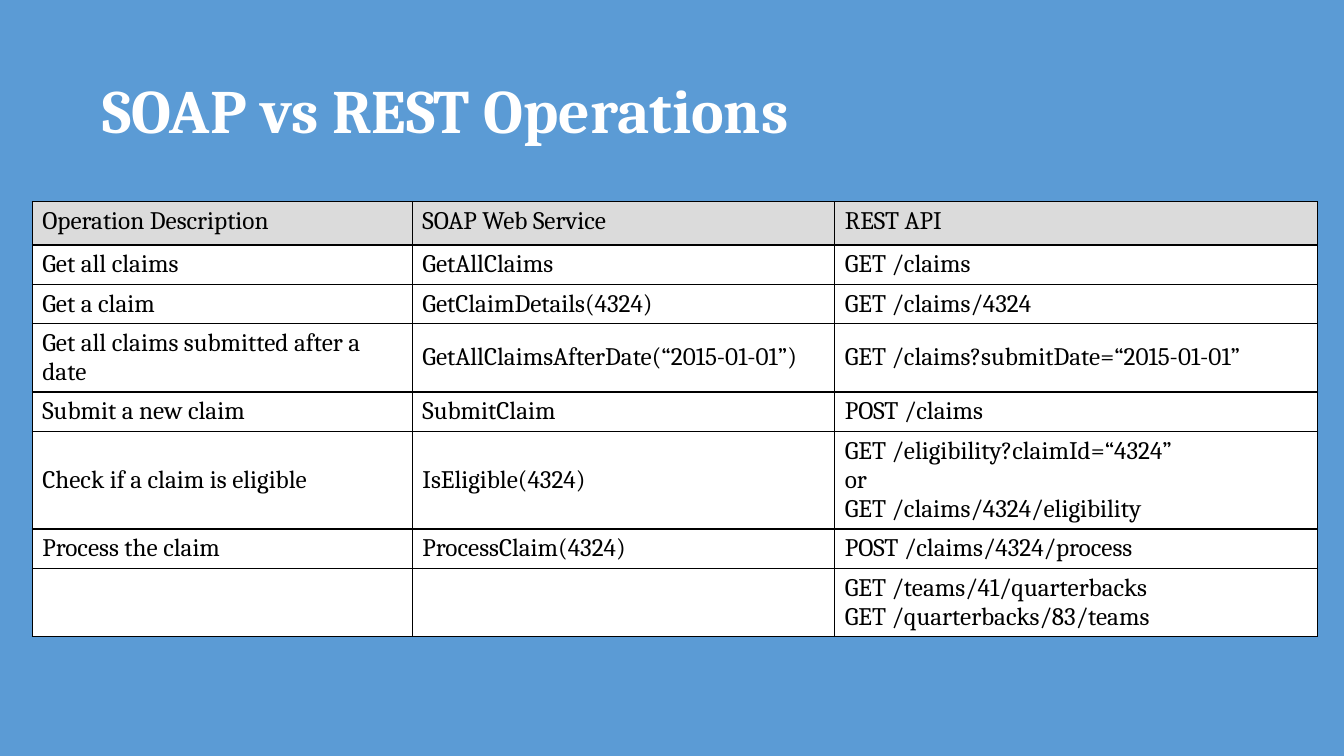
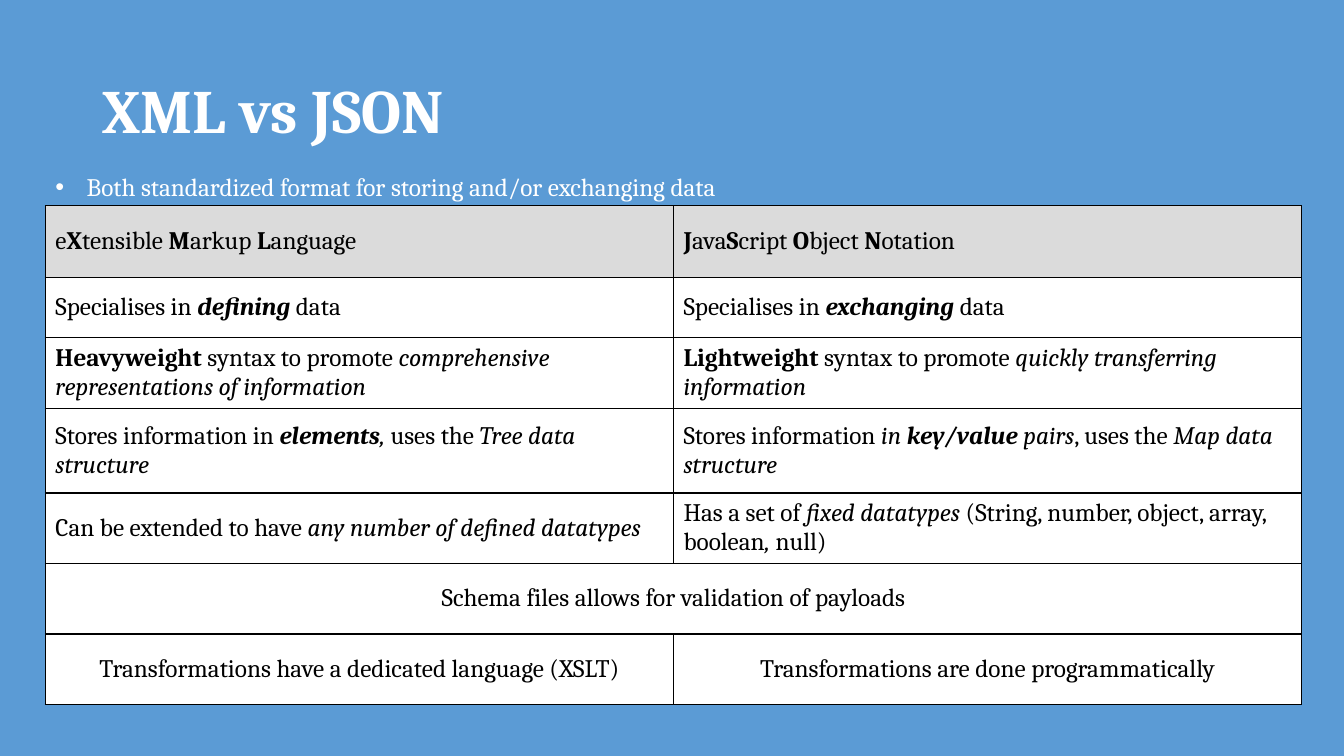
import dataclasses

import pptx
import pptx.dml.color
import pptx.enum.text
import pptx.oxml.ns
import pptx.util
from lxml import etree

Inches = pptx.util.Inches
Pt = pptx.util.Pt
Align = pptx.enum.text.PP_ALIGN
Anchor = pptx.enum.text.MSO_ANCHOR
Fit = pptx.enum.text.MSO_AUTO_SIZE
qn = pptx.oxml.ns.qn


@dataclasses.dataclass(frozen=True)
class Theme:
    """Colours, font and type sizes of the deck."""
    back: str = "5B9BD5"
    light: str = "FFFFFF"
    dark: str = "000000"
    head: str = "DBDBDB"
    font: str = "Cambria"
    title: int = 44
    body: int = 18
    rule: int = 1


def paint(fill, tone):
    """Give a fill one solid colour."""
    fill.solid()
    fill.fore_color.rgb = pptx.dml.color.RGBColor.from_string(tone)


class Deck:
    """Holds the style and the current slide."""

    def __init__(self, theme):
        """Open a wide deck with the shared background."""
        self.theme = theme
        self.prs = pptx.Presentation()
        self.prs.slide_width = Inches(13.33)
        self.prs.slide_height = Inches(7.5)
        paint(self.prs.slide_master.background.fill, theme.back)
        self.slide = None

    def put(self, para, text, size, tone, style=""):
        """Add one run, where style may hold b and i."""
        run = para.add_run()
        run.text = text
        run.font.name = self.theme.font
        run.font.size = Pt(size)
        run.font.bold = "b" in style
        run.font.italic = "i" in style
        paint(run.font.fill, tone)

    def place(self, shape, left, top, width, height):
        """Move and size a placeholder."""
        shape.left, shape.top = Inches(left), Inches(top)
        shape.width, shape.height = Inches(width), Inches(height)

    def start(self, title, layout):
        """Begin a slide with its title."""
        self.slide = self.prs.slides.add_slide(
            self.prs.slide_layouts.get_by_name(layout))
        shape = self.slide.shapes.title
        self.place(shape, 0.92, 0.4, 11.5, 1.45)
        frame = shape.text_frame
        frame.vertical_anchor = Anchor.MIDDLE
        frame.auto_size = Fit.NONE
        para = frame.paragraphs[0]
        para.alignment = Align.LEFT
        para.line_spacing = 0.9
        self.put(para, title, self.theme.title, self.theme.light, "b")

    def points(self, items, box):
        """Fill the body placeholder with bullets."""
        shape = self.slide.placeholders[1]
        self.place(shape, *box)
        frame = shape.text_frame
        frame.auto_size = Fit.SHAPE_TO_FIT_TEXT
        for i, item in enumerate(items):
            para = frame.add_paragraph() if i else frame.paragraphs[0]
            para.space_before = Pt(0)
            props = para._p.get_or_add_pPr()
            props.set("marL", str(Inches(0.31)))
            props.set("indent", str(-Inches(0.31)))
            etree.SubElement(props, qn("a:buChar"), char="•")
            self.put(para, item, self.theme.body, self.theme.light)

    def edge(self, cell):
        """Draw the four borders of a cell."""
        props = cell._tc.get_or_add_tcPr()
        for side in "LRTB":
            line = etree.SubElement(props, qn(f"a:ln{side}"),
                                    w=str(Pt(self.theme.rule)))
            fill = etree.SubElement(line, qn("a:solidFill"))
            etree.SubElement(fill, qn("a:srgbClr"), val=self.theme.dark)

    def cell(self, cell, lines, tone, anchor, align):
        """Style a cell and add its lines of runs."""
        self.edge(cell)
        paint(cell.fill, tone)
        cell.vertical_anchor = anchor
        frame = cell.text_frame
        for i, runs in enumerate(lines):
            para = frame.add_paragraph() if i else frame.paragraphs[0]
            para.alignment = align
            for text, style in runs:
                self.put(para, text, self.theme.body, self.theme.dark, style)

    def table(self, left, top, cols, highs, rows, first=Anchor.MIDDLE, mid=()):
        """Add a table, where None joins a cell to its left one."""
        grid = self.slide.shapes.add_table(
            len(rows), len(cols), Inches(left), Inches(top),
            Inches(sum(cols)), Inches(sum(highs))).table
        grid.first_row = grid.horz_banding = False
        for col, width in zip(grid.columns, cols):
            col.width = Inches(width)
        for r, (row, high) in enumerate(zip(rows, highs)):
            grid.rows[r].height = Inches(high)
            tone = self.theme.light if r else self.theme.head
            anchor = Anchor.MIDDLE if r else first
            align = Align.CENTER if r in mid else Align.LEFT
            for c, item in enumerate(row):
                lines = [item or []]
                if isinstance(item, str):
                    lines = [[(s, "")] for s in item.split("\n") if s]
                self.cell(grid.cell(r, c), lines, tone, anchor, align)
                if item is None:
                    grid.cell(r, c - 1).merge(grid.cell(r, c))


CALLS = [
    ("Operation Description", "SOAP Web Service", "REST API"),
    ("Get all claims", "GetAllClaims", "GET /claims"),
    ("Get a claim", "GetClaimDetails(4324)", "GET /claims/4324"),
    ("Get all claims submitted after a date",
     "GetAllClaimsAfterDate(“2015-01-01”)",
     "GET /claims?submitDate=“2015-01-01”"),
    ("Submit a new claim", "SubmitClaim", "POST /claims"),
    ("Check if a claim is eligible", "IsEligible(4324)",
     "GET /eligibility?claimId=“4324”\nor\nGET /claims/4324/eligibility"),
    ("Process the claim", "ProcessClaim(4324)", "POST /claims/4324/process"),
    ("", "", "GET /teams/41/quarterbacks\nGET /quarterbacks/83/teams"),
]

FORMS = [
    ([("e", ""), ("X", "b"), ("tensible ", ""), ("M", "b"), ("arkup ", ""),
      ("L", "b"), ("anguage", "")],
     [("J", "b"), ("ava", ""), ("S", "b"), ("cript ", ""), ("O", "b"),
      ("bject ", ""), ("N", "b"), ("otation", "")]),
    ([("Specialises in ", ""), ("defining", "bi"), (" data", "")],
     [("Specialises in ", ""), ("exchanging", "bi"), (" data", "")]),
    ([("Heavyweight", "b"), (" syntax to promote ", ""),
      ("comprehensive representations of information", "i")],
     [("Lightweight", "b"), (" syntax to promote ", ""),
      ("quickly transferring information", "i")]),
    ([("Stores information in ", ""), ("elements", "bi"), (",", "i"),
      (" uses the ", ""), ("Tree data structure", "i")],
     [("Stores information ", ""), ("in ", "i"), ("key/value", "bi"),
      (" pairs", "i"), (", uses the ", ""), ("Map data structure", "i")]),
    ([("Can be extended to have ", ""),
      ("any number of defined datatypes", "i")],
     [("Has a set of ", ""), ("fixed datatypes ", "i"),
      ("(String, number, object, array, boolean", ""), (", ", "i"),
      ("null)", "")]),
    ("Schema files allows for validation of payloads", None),
    ("Transformations have a dedicated language (XSLT)",
     "Transformations are done programmatically"),
]


def main():
    """Build and save both slides."""
    deck = Deck(Theme())

    deck.start("SOAP vs REST Operations", "Title Only")
    one, two, three = 0.39, 0.68, 0.97
    deck.table(0.32, 2, [3.77, 4.19, 4.79],
               [0.43, one, one, two, one, three, one, two],
               CALLS, first=Anchor.TOP)

    deck.start("XML vs JSON", "Title and Content")
    deck.points(["Both standardized format for storing and/or exchanging data"],
                (0.45, 1.65, 11.5, 0.4))
    deck.table(0.45, 2.04, [6.23] * 2,
               [0.71, 0.6, 0.7, 0.84] + [0.7] * 3, FORMS, mid=(5, 6))

    deck.prs.save("out.pptx")


if __name__ == "__main__":
    main()
